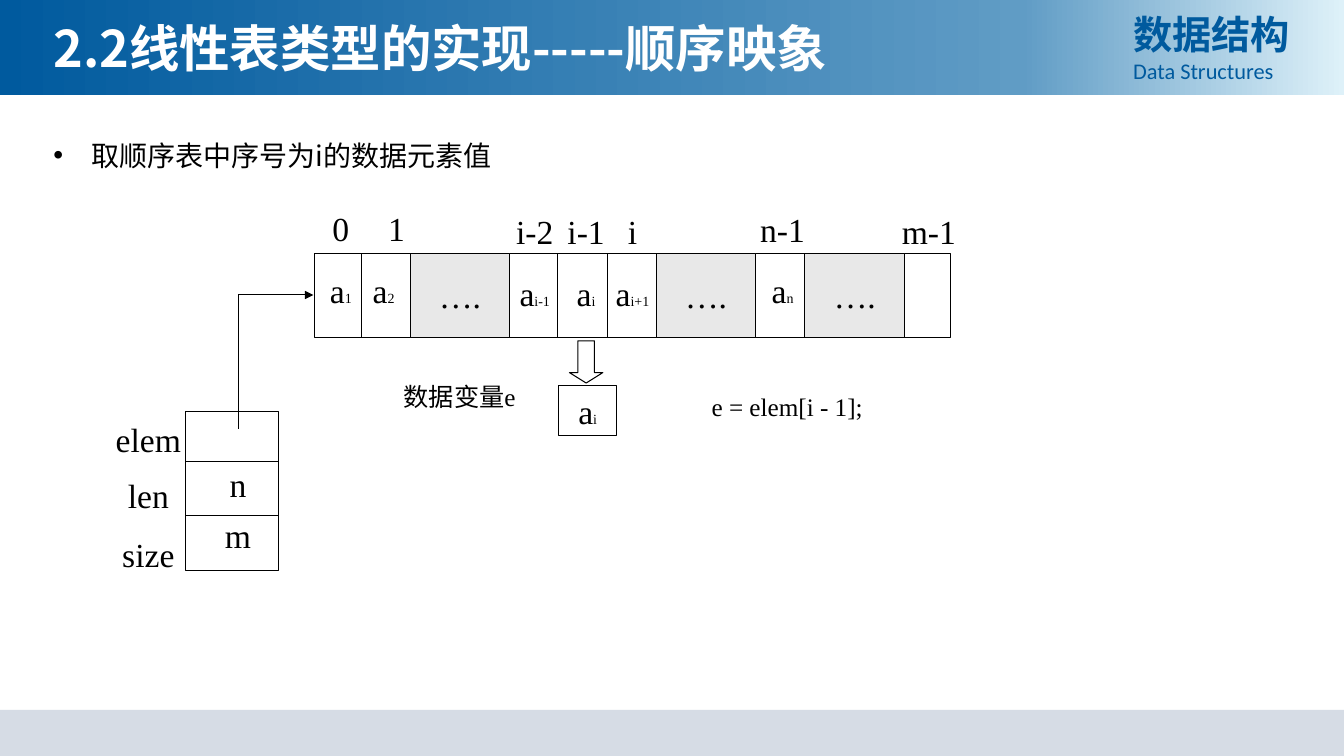
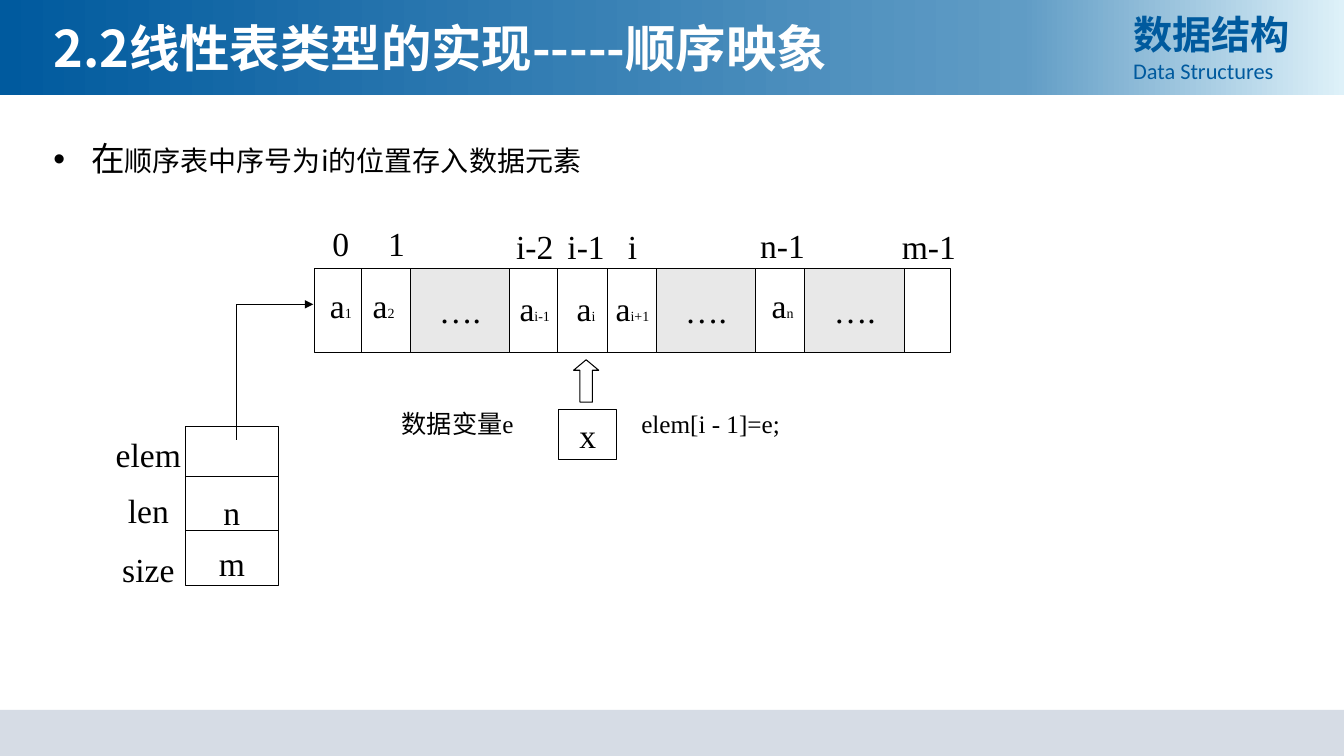
import copy

import lxml.etree
import pptx
import pptx.dml.color
import pptx.enum.shapes
import pptx.enum.text
import pptx.oxml.ns
import pptx.util

Pt = pptx.util.Pt
qn = pptx.oxml.ns.qn
rgb = pptx.dml.color.RGBColor.from_string
KIND = pptx.enum.shapes.MSO_SHAPE
ALIGN = pptx.enum.text.PP_ALIGN
MIDDLE = pptx.enum.text.MSO_ANCHOR.MIDDLE

BLUE, BLACK, WHITE, GREY, FOOT = "005A9E", "000000", "FFFFFF", "E8E8E8", "D6DCE5"
FADE = [(0, BLUE), (0.76, "609CC5"), (1, "DEF1F9")]
SANS, SERIF = "Noto Sans CJK SC", "Times New Roman"
WIDE, HIGH = 960, 540


def write(para, parts, face=SERIF, hue=BLACK, bold=False, align=None):
    """Fill a paragraph with (text, size) parts; the first size is its own."""
    size = parts[0][1]
    for text, points in parts:
        run = para.add_run()
        run.text = text
        if points != size:
            run.font.size = Pt(points)
    para.alignment = align
    font = para.font
    font.size, font.bold, font.name = Pt(size), bold, face
    font.color.rgb = rgb(hue)
    base = para._p.pPr.find(qn("a:defRPr"))
    lxml.etree.SubElement(base, qn("a:ea")).set("typeface", SANS)


def draw(slide, kind, at, fill=None, line=BLACK):
    shape = slide.shapes.add_shape(kind, *map(Pt, at))
    shape.shadow.inherit = False
    if fill:
        shape.fill.solid()
        shape.fill.fore_color.rgb = rgb(fill)
    else:
        shape.fill.background()
    if line:
        shape.line.color.rgb = rgb(line)
        shape.line.width = Pt(0.75)
    else:
        shape.line.fill.background()
    return shape


# Array: cell edges, then labels as (x, offsets from the array top, texts)
LEFT, RIGHT, TALL, GAP = 224.6, 679, 60, 71.3
EDGES = [258.5, 398.2, 434.2]
SKIPS = [293, 468.7, 574.9]
CELLS = [
    (243.5, -18, 26, "0", "1"), (283.3, -18, None, "1", None),
    (274, None, 26, None, "2"), (382, -16, 28, "i-2", "i-1"),
    (418.7, -16, 28, "i-1", "i"), (451.8, -16, 28, "i", "i+1"),
    (559, -17, 26, "n-1", "n"), (663.5, -16, None, "m-1", None),
]
# Record with the fields elem, len and size
REC, SPAN, DROP, DEPTH = 132.5, 66.4, 112.7, 113.8
FIELDS = [("elem", 20), ("len", 60), ("size", 102)]

pages = [
    dict(point=[("取顺序表中序号为i的数据元素值", 20)],
         top=181, stem=(170.3, 210.7, 306.7), value=(170, 346),
         arrow=(KIND.DOWN_ARROW, 0.312, (406.8, 243.4, 23.8, 30.2)),
         box=275.3, held=[("a", 24), ("i", 10)],
         name=(328.3, 283), code=(562.3, 290, "e = elem[i - 1];")),
    dict(point=[("在", 24), ("顺序表中序号为i的位置存入数据元素", 20)],
         top=191.8, stem=(169.2, 217.4, 314), value=(165.6, 366),
         arrow=(KIND.UP_ARROW, 0.417, (409.7, 257, 18, 30.2)),
         box=292.3, held=[("x", 24)],
         name=(326.9, 302.4), code=(507.6, 302.4, "elem[i - 1]=e;")),
]

deck = pptx.Presentation()
deck.slide_width, deck.slide_height = Pt(WIDE), Pt(HIGH)

for page in pages:
    slide = deck.slides.add_slide(deck.slide_layouts[6])

    # Bands
    band = draw(slide, KIND.RECTANGLE, (0, 0, WIDE, 68), line=None)
    band.fill.gradient()
    band.fill.gradient_angle = 0
    stops = band._element.spPr.find(".//" + qn("a:gsLst"))
    stops.append(copy.deepcopy(stops[0]))
    for stop, (place, hue) in zip(band.fill.gradient_stops, FADE):
        stop.position = place
        stop.color.rgb = rgb(hue)
    draw(slide, KIND.RECTANGLE, (0, 507, WIDE, 33), FOOT, None)

    # Title, course name and bullet
    frames = []
    for at in [(31, 8.6, 621, 51), (802.3, 3.6, 137.5, 60.5), (31, 95.3, 648, 383)]:
        frame = slide.shapes.add_textbox(*map(Pt, at)).text_frame
        frame.word_wrap = True
        frames.append(frame)
    title, course, body = frames
    write(title.paragraphs[0], [("2.2线性表类型的实现-----顺序映象", 36)],
          SANS, WHITE, True)
    write(course.paragraphs[0], [("数据结构", 28)], SANS, BLUE, True, ALIGN.JUSTIFY)
    write(course.add_paragraph(), [("Data Structures", 16)],
          "Calibri", BLUE, False, ALIGN.JUSTIFY)
    point = body.paragraphs[0]
    props = point._p.get_or_add_pPr()
    props.set("marL", str(Pt(27)))
    props.set("indent", str(Pt(-27)))
    lxml.etree.SubElement(props, qn("a:buFont")).set("typeface", "Arial")
    lxml.etree.SubElement(props, qn("a:buChar")).set("char", "•")
    write(point, page["point"], SANS)

    # Boxes
    top = page["top"]
    rec = top + DROP
    draw(slide, KIND.RECTANGLE, (LEFT, top, RIGHT - LEFT, TALL))
    for x in SKIPS:
        skip = draw(slide, KIND.RECTANGLE, (x, top, GAP, TALL), GREY)
        write(skip.text_frame.paragraphs[0], [("….", 24)], align=ALIGN.CENTER)
    draw(slide, KIND.RECTANGLE, (REC, rec, SPAN, DEPTH))
    draw(slide, KIND.RECTANGLE, (398.9, page["box"], 41.8, 36))
    kind, head, at = page["arrow"]
    arrow = draw(slide, kind, at)
    arrow.adjustments[0], arrow.adjustments[1] = 0.5, head

    # Cell edges, record rules and the pointer, which ends in an arrowhead
    x, y, foot = page["stem"]
    lines = [(edge, top, edge, top + TALL) for edge in EDGES]
    lines += [(REC, rec + dy, REC + SPAN, rec + dy) for dy in (36, 74.2)]
    lines += [(x, y, x, foot), (x, y, LEFT - 0.8, y)]
    for ends in lines:
        line = slide.shapes.add_connector(
            pptx.enum.shapes.MSO_CONNECTOR.STRAIGHT, *map(Pt, ends))
        line.line.color.rgb = rgb(BLACK)
        line.line.width = Pt(0.75)
        spot = line._element.spPr
        lxml.etree.SubElement(spot, qn("a:effectLst"))
    tail = lxml.etree.SubElement(spot.find(qn("a:ln")), qn("a:tailEnd"))
    tail.set("type", "triangle")

    # Labels as (x, y, width, parts), each centred on a point
    labels = []
    for x, over, into, index, sub in CELLS:
        if index:
            labels.append((x, top + over, 42, [(index, 24)]))
        if sub:
            labels.append((x, top + into, 33, [("a", 24), (sub, 10)]))
    labels += [(106, rec + dy, 52, [(field, 24)]) for field, dy in FIELDS]
    x, y = page["value"]
    labels += [(x, y, 24, [("n", 24)]), (x, y + 36, 24, [("m", 24)])]
    labels.append((419.8, page["box"] + 18.6, 33, page["held"]))
    labels.append((*page["name"], 96, [("数据变量e", 18)]))
    x, y, code = page["code"]
    labels.append((x, y, 120, [(code, 18)]))
    for x, y, width, parts in labels:
        frame = slide.shapes.add_textbox(
            Pt(x - width / 2), Pt(y - 15), Pt(width), Pt(30)).text_frame
        frame.word_wrap = False
        frame.vertical_anchor = MIDDLE
        frame.margin_left = frame.margin_right = 0
        frame.margin_top = frame.margin_bottom = 0
        write(frame.paragraphs[0], parts, align=ALIGN.CENTER)

deck.save("out.pptx")
